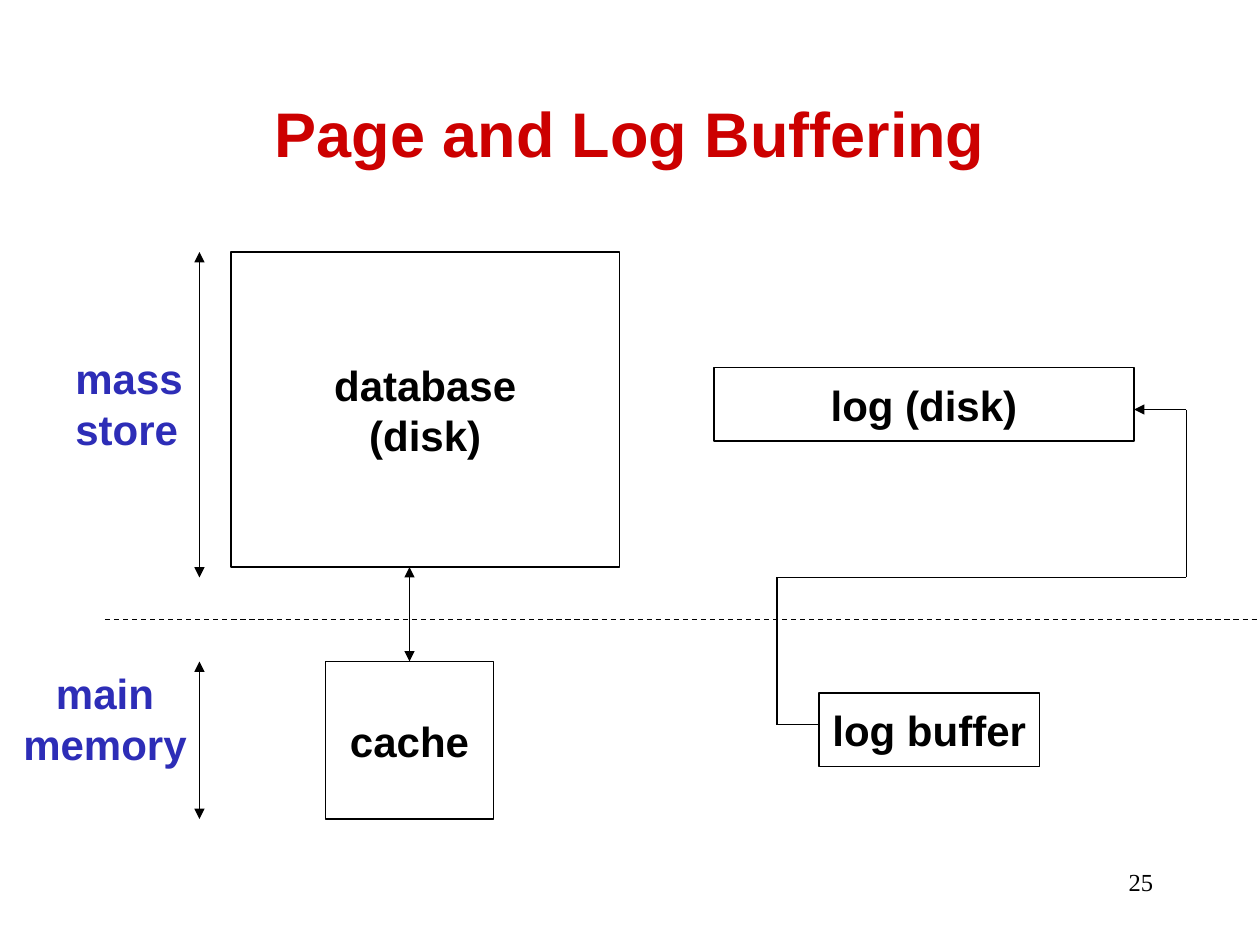
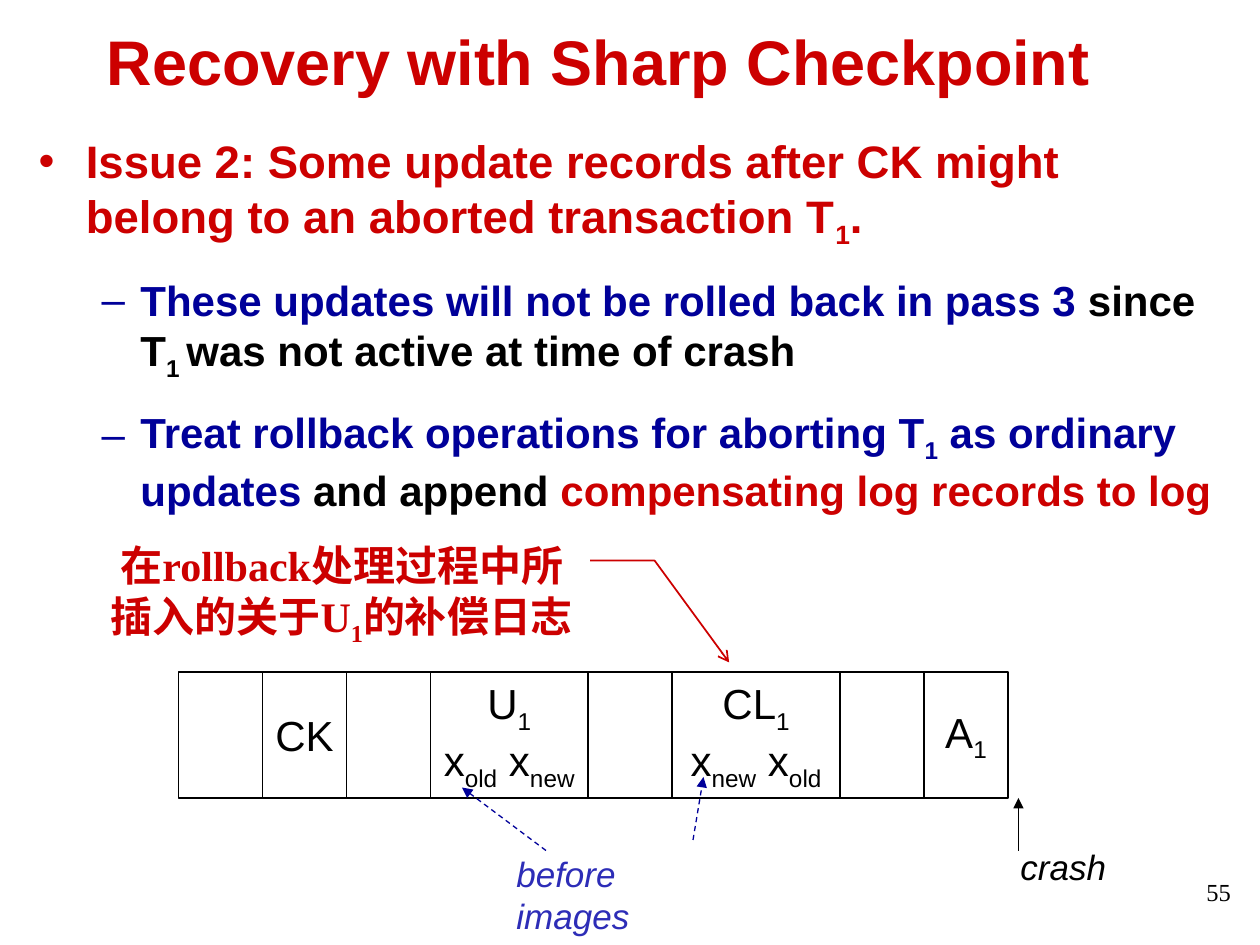
import itertools

import pptx
import pptx.dml.color
import pptx.enum.dml
import pptx.enum.shapes
import pptx.enum.text
import pptx.oxml.ns
import pptx.util
from lxml import etree

RGB = pptx.dml.color.RGBColor
BLACK = RGB(0, 0, 0)
WHITE = RGB(255, 255, 255)
RED = RGB(0xCC, 0, 0)
BLUE = RGB(0x2D, 0x2D, 0xB7)
NAVY = RGB(0, 0, 0x99)

SCALE = 7620  # EMU in one px, 120 px to the inch
SHAPE = pptx.enum.shapes.MSO_SHAPE
ALIGN = pptx.enum.text.PP_ALIGN
MIDDLE = pptx.enum.text.MSO_ANCHOR.MIDDLE
FIT = pptx.enum.text.MSO_AUTO_SIZE.SHAPE_TO_FIT_TEXT


def emu(*lens):
    return [pptx.util.Emu(n * SCALE) for n in lens]


def add(parent, tag, **attrs):
    return etree.SubElement(parent, pptx.oxml.ns.qn(tag), attrs)


class Deck:
    """Holds the shared text styles and the slide being drawn."""

    FONTS = {
        "title": dict(name="Arial", size=36, bold=True, color=RED),
        "page": dict(name="Times New Roman", size=14, color=BLACK),
        "point": dict(name="Arial", size=26, bold=True, color=RED),
        "sub": dict(name="Arial", size=24, bold=True, color=NAVY),
        "box": dict(name="Arial", size=24, bold=True, color=BLACK),
        "cell": dict(name="Arial", size=24, color=BLACK),
        "side": dict(name="Arial", size=24, bold=True, color=BLUE),
        "mark": dict(name="Arial", size=20, italic=True, color=BLACK),
        "image": dict(name="Arial", size=20, italic=True, color=BLUE),
        "note": dict(name="Times New Roman", size=24, bold=True, color=RED),
    }

    def __init__(self):
        self.file = pptx.Presentation()
        self.file.slide_width, self.file.slide_height = emu(1200, 900)
        self.slide = None

    def page(self, title, spot, num, corner):
        self.slide = self.file.slides.add_slide(self.file.slide_layouts[6])
        self.text(corner, [num], "page", ALIGN.RIGHT, wrap=True)
        self.text(spot, [title], "title", ALIGN.CENTER, wrap=True,
                  anchor=MIDDLE)

    def put(self, para, text, style, align=None):
        """Fill a paragraph; text is a string or (text, colour) pairs.
        Parts between ~ marks are subscripts."""
        para.alignment = align
        base = self.FONTS[style]
        pairs = [(text, base["color"])] if isinstance(text, str) else text
        for words, color in pairs:
            for i, part in enumerate(words.split("~")):
                if not part:
                    continue
                run = para.add_run()
                run.text = part
                for key, val in base.items():
                    if key == "color":
                        run.font.color.rgb = color
                    else:
                        val = pptx.util.Pt(val) if key == "size" else val
                        setattr(run.font, key, val)
                if i % 2:
                    run._r.get_or_add_rPr().set("baseline", "-25000")

    def fill(self, frame, lines, style, align=None):
        for i, text in enumerate(lines):
            para = frame.add_paragraph() if i else frame.paragraphs[0]
            self.put(para, text, style, align)

    def text(self, spot, lines, style, align=None, wrap=False, anchor=None):
        frame = self.slide.shapes.add_textbox(*emu(*spot)).text_frame
        frame.word_wrap = wrap
        if not wrap:
            frame.auto_size = FIT
        if anchor is not None:
            frame.vertical_anchor = anchor
        self.fill(frame, lines, style, align)

    def list(self, spot, items):
        """Items are (style, bullet, indent, hang, space before, text)."""
        frame = self.slide.shapes.add_textbox(*emu(*spot)).text_frame
        frame.word_wrap = True
        for i, (style, mark, left, hang, gap, text) in enumerate(items):
            para = frame.add_paragraph() if i else frame.paragraphs[0]
            props = para._p.get_or_add_pPr()
            props.set("marL", str(left * SCALE))
            props.set("indent", str(-hang * SCALE))
            add(props, "a:buFont", typeface="Arial")
            add(props, "a:buChar", char=mark)
            if gap:
                para.space_before = pptx.util.Pt(gap)
            self.put(para, text, style)

    def shape(self, kind, spot, lines, style, wrap=False):
        item = self.slide.shapes.add_shape(kind, *emu(*spot))
        item.shadow.inherit = False
        item.text_frame.word_wrap = wrap
        item.text_frame.vertical_anchor = MIDDLE
        self.fill(item.text_frame, lines, style, ALIGN.CENTER)
        return item

    def pen(self, item, color, width=0.75, dash=False, head=None, tail=None):
        item.line.color.rgb = color
        item.line.width = pptx.util.Pt(width)
        if dash:
            item.line.dash_style = pptx.enum.dml.MSO_LINE.DASH
        for tag, end in (("a:headEnd", head), ("a:tailEnd", tail)):
            if end:
                add(item.get_or_add_ln(), tag, type=end)

    def box(self, spot, lines, style):
        item = self.shape(SHAPE.RECTANGLE, spot, lines, style)
        item.fill.solid()
        item.fill.fore_color.rgb = WHITE
        self.pen(item, BLACK)

    def line(self, start, end, color=BLACK, **form):
        link = self.slide.shapes.add_connector(
            pptx.enum.shapes.MSO_CONNECTOR.STRAIGHT, *emu(*start, *end))
        self.pen(link, color, **form)
        add(link._element.spPr, "a:effectLst")

    def note(self, spot, lines, style, bends):
        item = self.shape(SHAPE.LINE_CALLOUT_2_NO_BORDER, spot, lines, style,
                          wrap=True)
        item.fill.background()
        for i, bend in enumerate(bends):
            item.adjustments[i] = bend
        self.pen(item, RED, width=1, tail="arrow")


def buffers(deck):
    deck.page("Page and Log Buffering", (90, 83, 1020, 85),
              "25", (860, 820, 250, 60))

    # Stores and their buffers
    for spot, lines in (
        ((220, 240, 370, 300), ["database", "(disk)"]),
        ((680, 350, 400, 70), ["log (disk)"]),
        ((310, 630, 160, 150), ["cache"]),
        ((780, 660, 210, 70), ["log buffer"]),
    ):
        deck.box(spot, lines, "box")

    # Two-way arrows
    for x, top, end in ((390, 540, 630), (190, 240, 550), (190, 630, 780)):
        deck.line((x, top), (x, end), head="triangle", tail="triangle")

    # Memory levels
    deck.text((60, 330, 127, 108), ["mass", "store"], "side")
    deck.text((10, 630, 180, 108), ["main", "memory"], "side", ALIGN.CENTER)
    deck.line((100, 590), (1200, 590), dash=True)

    # Route from log buffer to log
    route = [(780, 690), (740, 690), (740, 550), (1130, 550), (1130, 390),
             (1080, 390)]
    for start, end in itertools.pairwise(route):
        deck.line(start, end, tail="triangle" if end == route[-1] else None)


def recovery(deck):
    deck.page("Recovery with Sharp Checkpoint", (60, 10, 1020, 95),
              "55", (934, 829, 250, 60))

    # Issue and its points
    sub = ("sub", "–", 97, 37, 14)
    deck.list((25, 121, 1145, 390), [
        ("point", "•", 45, 45, 0,
         "Issue 2: Some update records after CK might belong to an aborted "
         "transaction T~1~."),
        (*sub, [("These updates will not be rolled back in pass 3", NAVY),
                (" since T~1 ~was not active at time of crash", BLACK)]),
        (*sub, [("Treat rollback operations for aborting T~1~ as ordinary "
                 "updates", NAVY),
                (" and append ", BLACK),
                ("compensating log records to log", RED)]),
    ])

    # Log records, side by side
    left = 170
    for width, lines in (
        (80, []), (80, ["CK"]), (80, []),
        (150, ["U~1~", "x~old~ x~new~"]), (80, []),
        (160, ["CL~1~", "x~new~ x~old~"]), (80, []), (80, ["A~1~"]),
    ):
        deck.box((left, 640, width, 120), lines, "cell")
        left += width

    # Crash point
    deck.text((960, 799, 106, 52), ["crash"], "mark")
    deck.line((970, 810), (970, 760), tail="triangle")

    # Before images
    deck.text((480, 806, 235, 52), ["before images"], "image")
    for start, end in (((520, 810), (440, 750)), ((660, 800), (670, 740))):
        deck.line(start, end, NAVY, dash=True, tail="triangle")

    # Note on the compensating record
    deck.note((89, 511, 473, 109),
              ["在rollback处理过程中所插入的关于U~1~的补偿日志"], "note",
              (0.21, 1, 0.21, 1.13, 1.1, 1.28))


def main():
    deck = Deck()
    buffers(deck)
    recovery(deck)
    deck.file.save("out.pptx")


if __name__ == "__main__":
    main()
